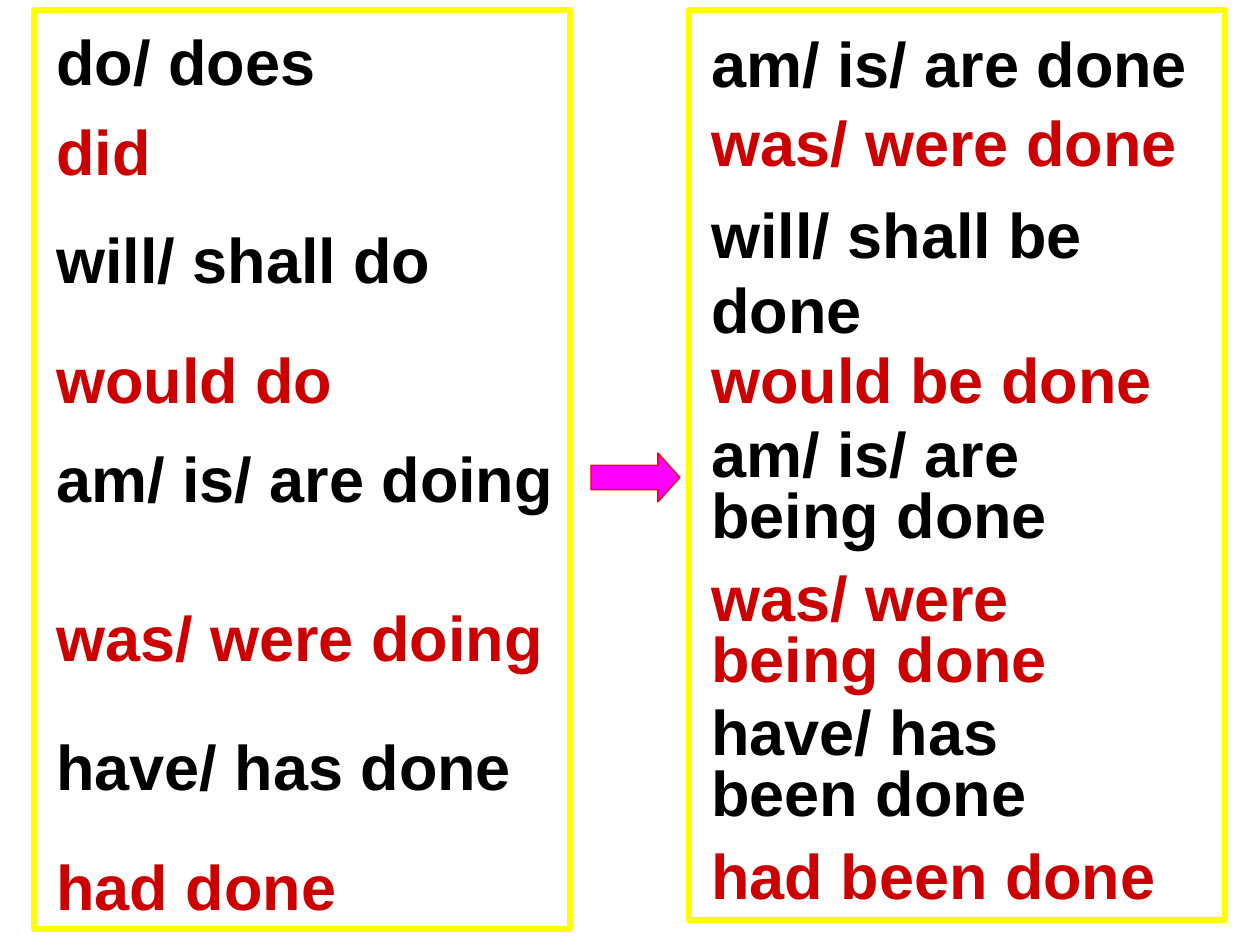
from pptx import Presentation
from pptx.dml.color import RGBColor
from pptx.enum import shapes, text
from pptx.util import Emu, Pt

SCALE = 914400 / 126
COLORS = {
    "frame": "FFFF00",
    "arrow": "FF00FF",
    "arrow_edge": "FF0000",
    "odd": "000000",
    "even": "CC0000",
}

deck = Presentation()
deck.slide_width, deck.slide_height = Emu(9144000), Emu(6858000)
slide = deck.slides.add_slide(deck.slide_layouts[6])


def px(*lengths):
    return [Emu(round(length * SCALE)) for length in lengths]


def add_phrase(words, left, top, width, height, color, spacing=1.0):
    box = slide.shapes.add_textbox(*px(left, top, width, height))
    frame = box.text_frame
    frame.word_wrap = True
    frame.auto_size = text.MSO_AUTO_SIZE.SHAPE_TO_FIT_TEXT
    paragraph = frame.paragraphs[0]
    paragraph.line_spacing = spacing
    run = paragraph.add_run()
    run.text = words
    run.font.name = "Arial"
    run.font.size = Pt(36)
    run.font.bold = True
    run.font.color.rgb = RGBColor.from_string(COLORS[color])


for left, height in ((34, 919), (689, 910)):
    border = slide.shapes.add_shape(
        shapes.MSO_SHAPE.RECTANGLE, *px(left, 10, 536, height)
    )
    border.shadow.inherit = False
    border.fill.background()
    border.line.color.rgb = RGBColor.from_string(COLORS["frame"])
    border.line.width = Pt(3)

arrow = slide.shapes.add_shape(shapes.MSO_SHAPE.RIGHT_ARROW, *px(591, 453, 89, 49))
arrow.shadow.inherit = False
arrow.adjustments[0] = 0.5
arrow.adjustments[1] = 0.45
arrow.fill.solid()
arrow.fill.fore_color.rgb = RGBColor.from_string(COLORS["arrow"])
arrow.line.color.rgb = RGBColor.from_string(COLORS["arrow_edge"])
arrow.line.width = Pt(0.75)

active = [
    ("do/ does", 16, 397),
    ("did", 106, 397),
    ("will/ shall do", 214, 466),
    ("would do", 334, 397),
    ("am/ is/ are doing", 433, 566),
    ("was/ were doing", 592, 525),
    ("have/ has done", 721, 566),
    ("had done", 841, 525),
]
passive = [
    ("am/ is/ are done", 18, 515, 88, 1.0),
    ("was/ were done", 97, 515, 88, 1.0),
    ("will/ shall be done", 189, 496, 164, 1.0),
    ("would be done", 334, 515, 88, 1.0),
    ("am/ is/ are being done", 423, 515, 134, 0.8),
    ("was/ were being done", 567, 476, 134, 0.8),
    ("have/ has been done", 701, 446, 134, 0.8),
    ("had been done", 845, 525, 73, 0.8),
]
for row, (active_form, passive_form) in enumerate(zip(active, passive)):
    color = "even" if row % 2 else "odd"
    words, top, width = active_form
    add_phrase(words, 44, top, width, 88, color)
    words, top, width, height, spacing = passive_form
    add_phrase(words, 699, top, width, height, color, spacing)

deck.save("out.pptx")
